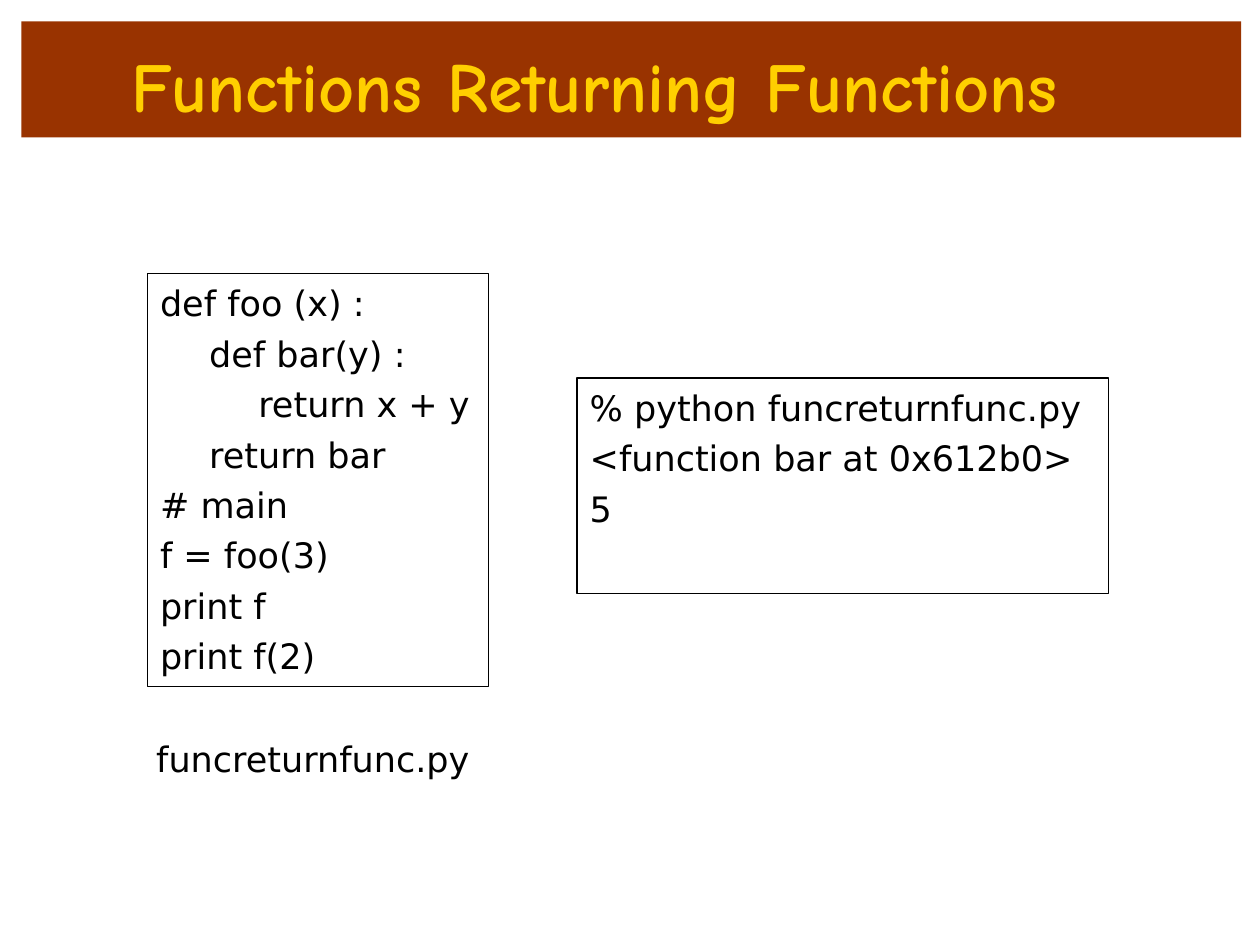
from pptx import Presentation
from pptx.dml.color import RGBColor
from pptx.enum.shapes import MSO_SHAPE
from pptx.enum.text import MSO_ANCHOR, PP_ALIGN
from pptx.util import Inches, Pt

CODE_FONT = "DejaVu Sans"
MARGIN, STEP = 0.1, 0.39  # left indent of code and of each nesting level

CODE = [
    (0, "def foo (x) :"),
    (1, "def bar(y) :"),
    (2, "return x + y"),
    (1, "return bar"),
    (0, "# main"),
    (0, "f = foo(3)"),
    (0, "print f"),
    (0, "print f(2)"),
]
OUTPUT = [
    (0, "% python funcreturnfunc.py"),
    (0, "<function bar at 0x612b0>"),
    (0, "5"),
]


def color(hex_code):
    return RGBColor.from_string(hex_code)


def add_box(s, x, y, w, h, fill=None, line=None):
    sp = s.shapes.add_shape(MSO_SHAPE.RECTANGLE, Inches(x), Inches(y), Inches(w), Inches(h))
    sp.shadow.inherit = False
    if fill:
        sp.fill.solid()
        sp.fill.fore_color.rgb = color(fill)
    else:
        sp.fill.background()
    if line:
        sp.line.color.rgb = color(line)
        sp.line.width = Pt(0.75)
    else:
        sp.line.fill.background()
    return sp


def setup_frame(sp, top=0):
    tf = sp.text_frame
    tf.word_wrap = True
    tf.vertical_anchor = MSO_ANCHOR.TOP
    tf.margin_left = tf.margin_right = tf.margin_bottom = 0
    tf.margin_top = Inches(top)
    return tf


def write(p, text, indent, size=20, font=CODE_FONT, hex_code="000000", bold=False):
    p.text = text
    p.alignment = PP_ALIGN.LEFT
    p._p.get_or_add_pPr().set("marL", str(Inches(indent)))
    r = p.runs[0]
    r.font.size = Pt(size)
    r.font.name = font
    r.font.bold = bold
    r.font.color.rgb = color(hex_code)


def add_code_box(s, x, y, w, h, lines):
    tf = setup_frame(add_box(s, x, y, w, h, line="000000"))
    for i, (level, text) in enumerate(lines):
        p = tf.add_paragraph() if i else tf.paragraphs[0]
        write(p, text, MARGIN + level * STEP)
        p.line_spacing = Pt(28.8)


def main():
    prs = Presentation()
    prs.slide_width, prs.slide_height = Inches(10), Inches(7.5)
    s = prs.slides.add_slide(prs.slide_layouts[6])

    # Title band
    tf = setup_frame(add_box(s, 0.17, 0.17, 9.68, 0.92, fill="993300"), top=0.17)
    write(tf.paragraphs[0], "Functions Returning Functions", 0.87,
          size=40, font="Comic Neue", hex_code="FFCF00", bold=True)

    # Program and its output
    add_code_box(s, 1.17, 2.17, 2.71, 3.28, CODE)
    add_code_box(s, 4.58, 3, 4.22, 1.71, OUTPUT)

    # File name
    caption = s.shapes.add_textbox(Inches(1.23), Inches(5.83), Inches(2.52), Inches(0.36))
    write(setup_frame(caption, top=0.02).paragraphs[0], "funcreturnfunc.py", 0.01)

    prs.save("out.pptx")


if __name__ == "__main__":
    main()
